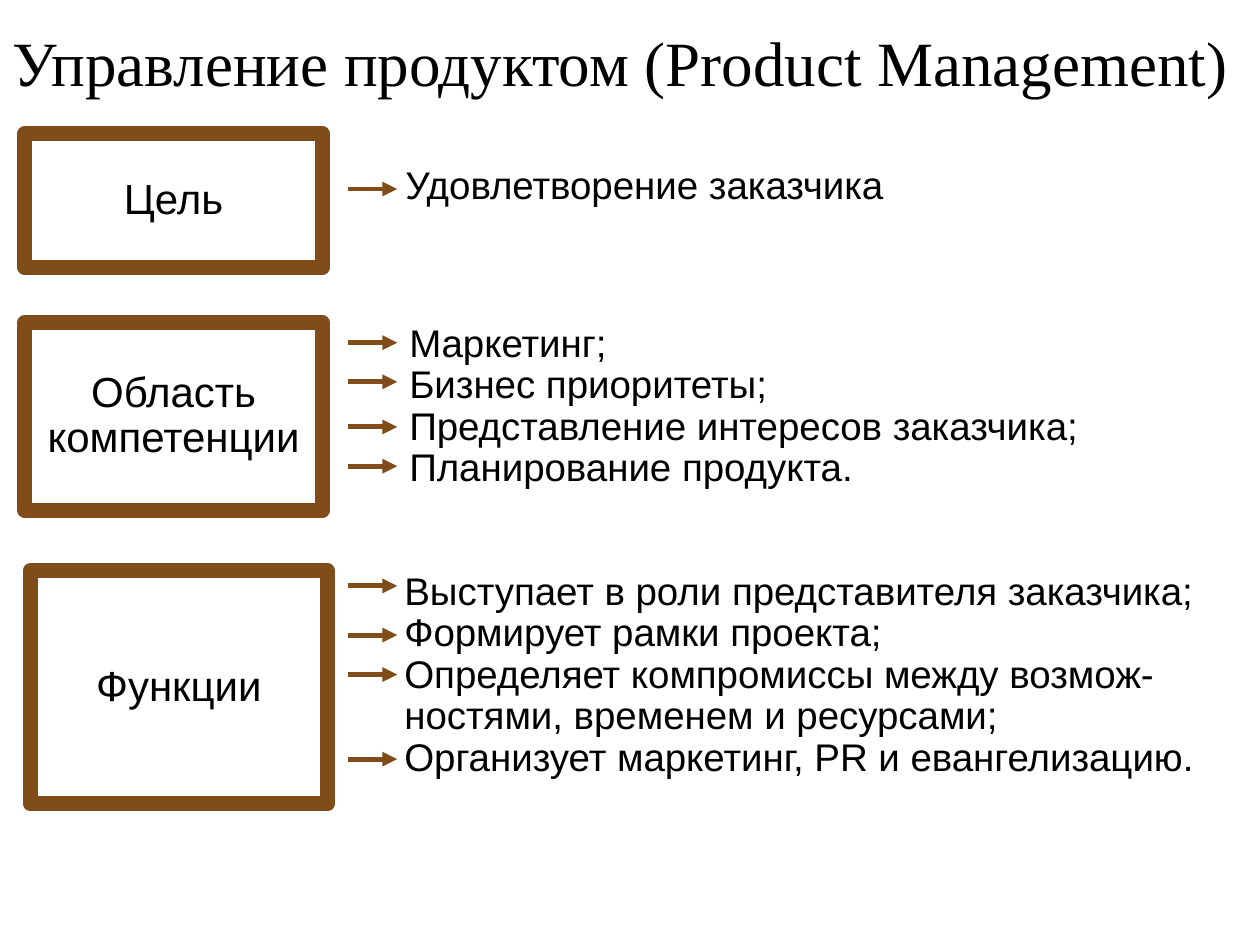
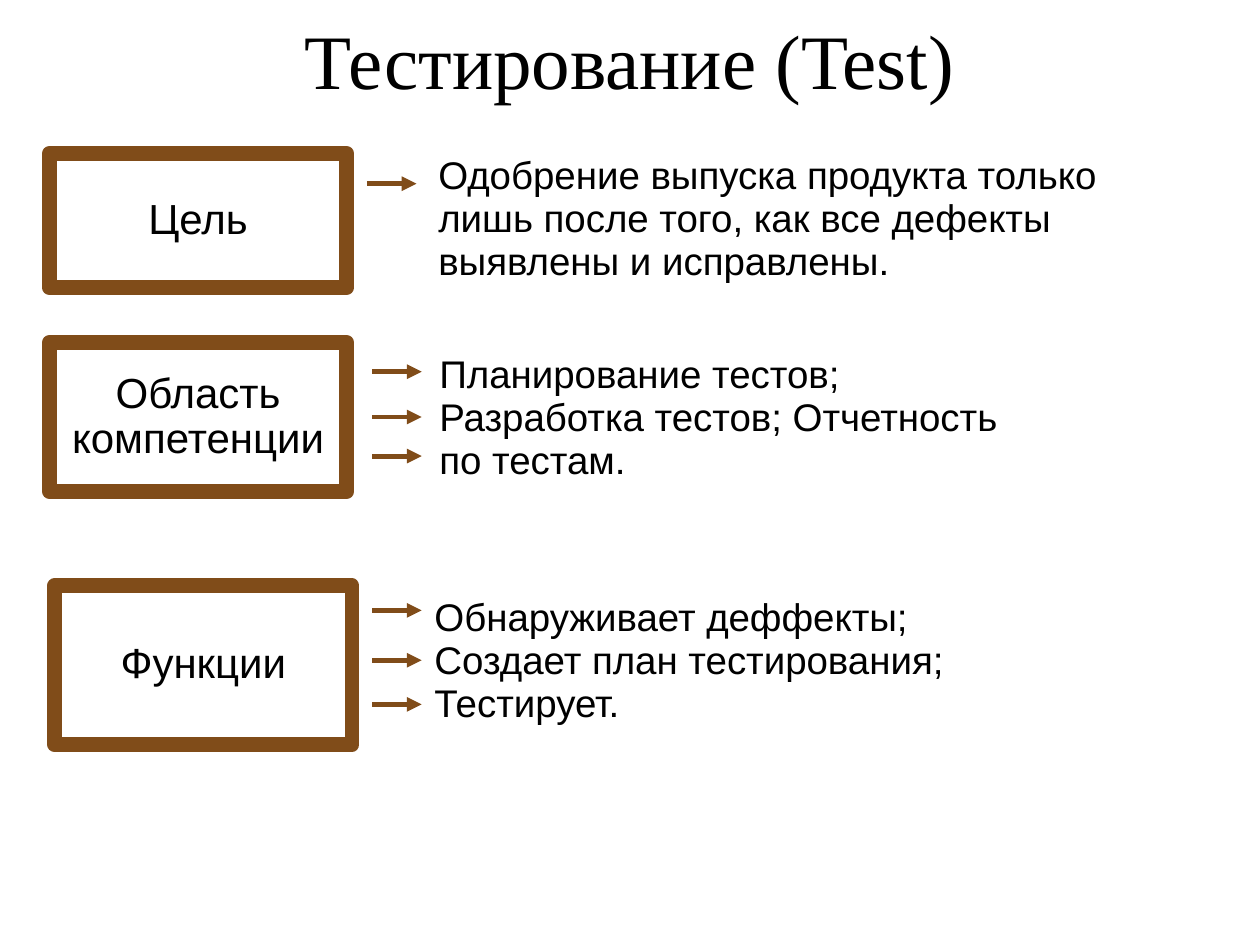
from dataclasses import dataclass

from lxml.etree import SubElement
from pptx import Presentation
from pptx.dml.color import RGBColor
from pptx.enum.shapes import MSO_CONNECTOR as Connector, MSO_SHAPE as Preset
from pptx.enum.text import MSO_ANCHOR as Anchor, MSO_AUTO_SIZE as AutoSize, PP_ALIGN as Align
from pptx.oxml.ns import qn
from pptx.util import Pt

COLORS = {"text": "000000", "accent": "804C19", "paper": "FFFFFF"}
TITLE_FONT, BODY_FONT = "Times New Roman", "Arial"
LABEL_WIDTH = 170
ARROW_OFFSET, ARROW_LENGTH = 184.5, 28.3


@dataclass
class Section:
    """One labelled block with its arrows and description."""
    label: tuple
    top: float
    height: float
    arrow_tops: tuple
    statement: tuple
    statement_area: tuple
    label_shift: float = 0
    arrow_shift: float = 0
    filled: bool = False


def color(name):
    """Return a palette colour."""
    return RGBColor.from_string(COLORS[name])


def box(left, top, width, height):
    """Convert a rectangle in points to lengths."""
    return [Pt(value) for value in (left, top, width, height)]


def add_run(paragraph, text, size, font_name):
    """Append one formatted run."""
    run = paragraph.add_run()
    run.text = text
    run.font.size = Pt(size)
    run.font.name = font_name
    run.font.color.rgb = color("text")


def set_title(slide, text, area, size, align):
    """Move and format the slide title."""
    title = slide.shapes.title
    title.left, title.top, title.width, title.height = box(*area)
    frame = title.text_frame
    frame.auto_size = AutoSize.NONE
    frame.vertical_anchor = Anchor.MIDDLE
    frame.word_wrap = True
    paragraph = frame.paragraphs[0]
    paragraph.alignment = align
    add_run(paragraph, text, size, TITLE_FONT)


def add_label(slide, left, section):
    """Draw the thick framed label of a section."""
    area = box(left + section.label_shift, section.top, LABEL_WIDTH, section.height)
    label = slide.shapes.add_shape(Preset.RECTANGLE, *area)
    label.shadow.inherit = False
    if section.filled:
        label.fill.solid()
        label.fill.fore_color.rgb = color("paper")
    else:
        label.fill.background()
    label.line.color.rgb = color("accent")
    label.line.width = Pt(8.5)
    SubElement(label.line._get_or_add_ln(), qn("a:round"))
    frame = label.text_frame
    frame.word_wrap = True
    frame.vertical_anchor = Anchor.MIDDLE
    frame.margin_left = frame.margin_right = 0
    frame.margin_top = frame.margin_bottom = Pt(8)
    for index, word in enumerate(section.label):
        paragraph = frame.add_paragraph() if index else frame.paragraphs[0]
        paragraph.alignment = Align.CENTER
        paragraph.line_spacing = 0.9
        add_run(paragraph, word, 24, BODY_FONT)


def add_arrow(slide, left, top):
    """Draw a short arrow pointing to a statement."""
    arrow = slide.shapes.add_connector(
        Connector.STRAIGHT, Pt(left), Pt(top), Pt(left + ARROW_LENGTH), Pt(top))
    arrow.line.color.rgb = color("accent")
    arrow.line.width = Pt(2.83)
    SubElement(arrow.line._get_or_add_ln(), qn("a:tailEnd"), type="triangle")
    SubElement(arrow._element.spPr, qn("a:effectLst"))


def add_statement(slide, section, line_spacing):
    """Write the description of a section."""
    frame = slide.shapes.add_textbox(*box(*section.statement_area)).text_frame
    frame.word_wrap = True
    paragraph = frame.paragraphs[0]
    paragraph.line_spacing = line_spacing
    for index, line in enumerate(section.statement):
        if index:
            paragraph.add_line_break()
        add_run(paragraph, line, 22, BODY_FONT)


def add_sections(slide, left, line_spacing, sections):
    """Draw all sections of a role."""
    for section in sections:
        add_label(slide, left, section)
        for top in section.arrow_tops:
            add_arrow(slide, left + ARROW_OFFSET + section.arrow_shift, top)
        add_statement(slide, section, line_spacing)


GOAL, SCOPE, FUNCTIONS = ("Цель",), ("Область", "компетенции"), ("Функции",)

PRODUCT_SECTIONS = (
    Section(GOAL, 76.5, 76.5, (108,),
            ("Удовлетворение заказчика",), (224.6, 91.5, 388, 42)),
    Section(SCOPE, 184.3, 107.3, (195.8, 218.2, 244, 266.4),
            ("Маркетинг;", "Бизнес приоритеты;",
             "Представление интересов заказчика; Планирование продукта."),
            (226.8, 181.5, 456.5, 111)),
    Section(FUNCTIONS, 326.2, 133.2, (334.8, 362.9, 385.5, 433.8),
            ("Выступает в роли представителя заказчика;", "Формирует рамки проекта;",
             "Определяет компромиссы между возмож-ностями, временем и ресурсами;",
             "Организует маркетинг, PR и евангелизацию."),
            (224, 323.3, 496, 147.6), label_shift=3, filled=True),
)

TEST_SECTIONS = (
    Section(GOAL, 87.8, 76.5, (105,),
            ("Одобрение выпуска продукта только лишь после того, "
             "как все дефекты выявлены и исправлены.",),
            (243.4, 85, 437, 114.5), arrow_shift=-3),
    Section(SCOPE, 195.8, 85, (212.4, 238.3, 260.6),
            ("Планирование тестов; Разработка тестов; Отчетность по тестам.",),
            (244, 198.7, 350.6, 80.6)),
    Section(FUNCTIONS, 334.8, 90.7, (348.8, 377.3, 402.5),
            ("Обнаруживает деффекты;", "Создает план тестирования;", "Тестирует."),
            (241.2, 337.7, 455.8, 80.6), label_shift=3, filled=True),
)


def main():
    """Build both role slides."""
    deck = Presentation()
    deck.slide_width, deck.slide_height = Pt(720), Pt(540)
    title_only = deck.slide_layouts[5]

    product = deck.slides.add_slide(title_only)
    set_title(product, "Управление продуктом (Product Management)",
              (0, -4.3, 722.9, 78.5), 36, Align.LEFT)
    add_sections(product, 14.2, 0.9, PRODUCT_SECTIONS)

    test = deck.slides.add_slide(title_only)
    set_title(test, "Тестирование (Test)", (36, 10, 647.3, 46.8), 44, Align.CENTER)
    add_sections(test, 28.2, 0.93, TEST_SECTIONS)

    deck.save("out.pptx")


if __name__ == "__main__":
    main()
